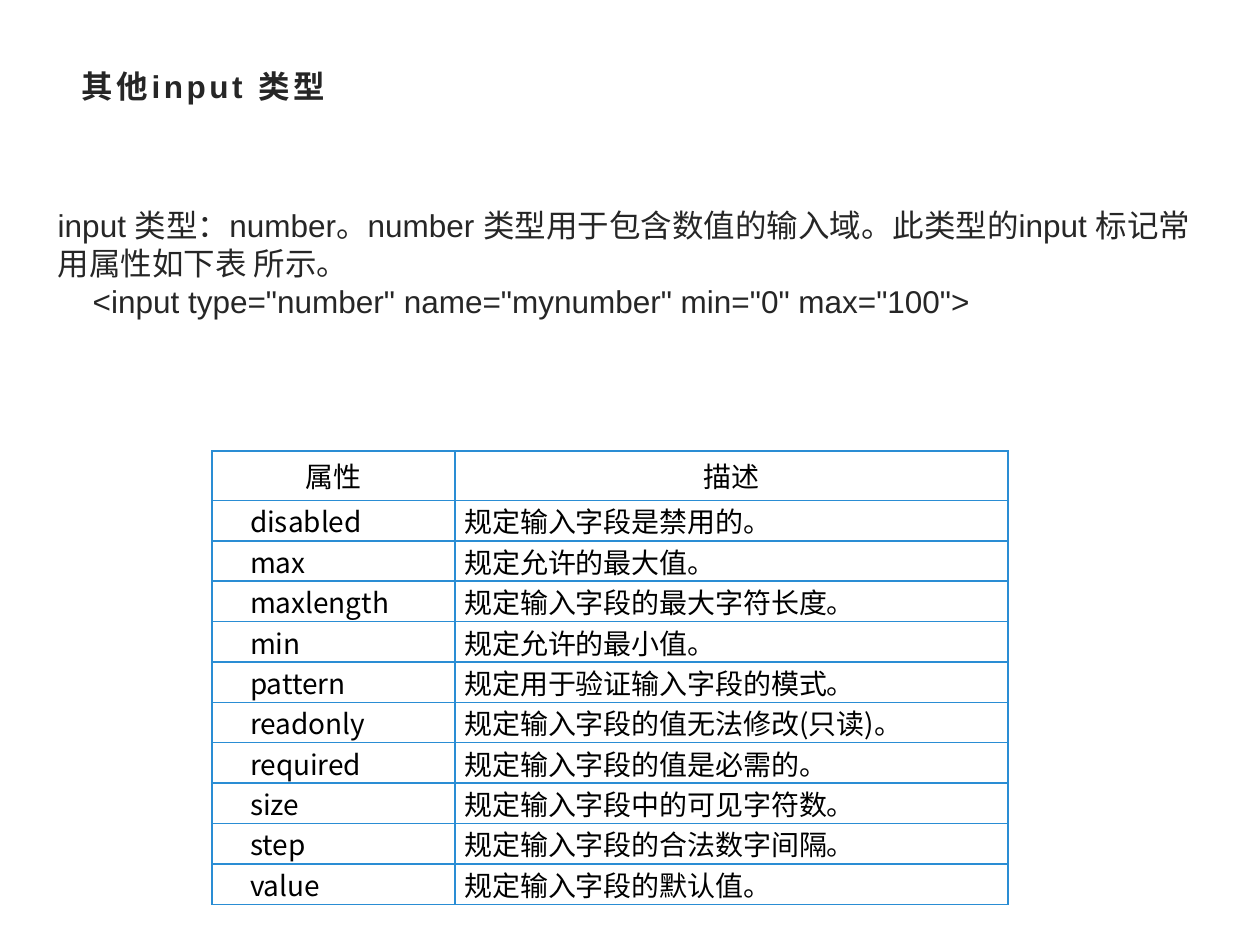
"""Build a slide on the number input type and its attributes."""
from lxml.etree import SubElement
from pptx import Presentation
from pptx.dml.color import RGBColor
from pptx.enum.text import MSO_ANCHOR, PP_ALIGN
from pptx.oxml.ns import qn
from pptx.util import Pt

COLORS = {"text": "262626", "table": "000000", "border": "2A8DD4"}
CHINESE_FONT = "Noto Sans CJK SC"
ATTRIBUTES = [
    ("属性", "描述"),
    ("disabled", "规定输入字段是禁用的。"),
    ("max", "规定允许的最大值。"),
    ("maxlength", "规定输入字段的最大字符长度。"),
    ("min", "规定允许的最小值。"),
    ("pattern", "规定用于验证输入字段的模式。"),
    ("readonly", "规定输入字段的值无法修改(只读)。"),
    ("required", "规定输入字段的值是必需的。"),
    ("size", "规定输入字段中的可见字符数。"),
    ("step", "规定输入字段的合法数字间隔。"),
    ("value", "规定输入字段的默认值。"),
]
HEADER_HEIGHT, ROW_HEIGHT = 28.4, 23.08


def style_text(frame, size, font, color, bold=False):
    for para in frame.paragraphs:
        for span in para.runs:
            span.font.size = Pt(size)
            span.font.name = font
            span.font.bold = bold
            span.font.color.rgb = RGBColor.from_string(COLORS[color])
            properties = span.font._element
            SubElement(properties, qn("a:ea")).set("typeface", CHINESE_FONT)


def add_borders(cell):
    properties = cell._tc.get_or_add_tcPr()
    for side in ("lnL", "lnR", "lnT", "lnB"):
        line = SubElement(properties, qn(f"a:{side}"), w=str(Pt(1)))
        fill = SubElement(line, qn("a:solidFill"))
        SubElement(fill, qn("a:srgbClr"), val=COLORS["border"])


deck = Presentation()
deck.slide_width, deck.slide_height = Pt(720), Pt(540)
page = deck.slides.add_slide(deck.slide_layouts[6])

title = page.shapes.add_textbox(Pt(39.6), Pt(34.6), Pt(640.8), Pt(34.6)).text_frame
title.word_wrap = True
title.vertical_anchor = MSO_ANCHOR.TOP
title.text = "其他input 类型"
style_text(title, 18, "Arial", "text", bold=True)
for span in title.paragraphs[0].runs:
    span.font._element.set("spc", "200")

body = page.shapes.add_textbox(Pt(25.9), Pt(114.3), Pt(668.2), Pt(72.7)).text_frame
body.word_wrap = True
body.text = "input 类型：number。number 类型用于包含数值的输入域。此类型的input 标记常用属性如下表 所示。"
body.add_paragraph().text = '    <input type="number" name="mynumber" min="0" max="100">'
style_text(body, 18, "Arial", "text")

table_height = HEADER_HEIGHT + ROW_HEIGHT * (len(ATTRIBUTES) - 1)
table = page.shapes.add_table(
    len(ATTRIBUTES), 2, Pt(121.1), Pt(257.6), Pt(455), Pt(table_height)
).table
table.first_row = table.horz_banding = False
table.columns[0].width, table.columns[1].width = Pt(139), Pt(316)

for row_index, texts in enumerate(ATTRIBUTES):
    is_header = row_index == 0
    table.rows[row_index].height = Pt(HEADER_HEIGHT if is_header else ROW_HEIGHT)
    for column_index, text in enumerate(texts):
        cell = table.cell(row_index, column_index)
        cell.margin_left = cell.margin_right = Pt(5.3)
        cell.margin_top = cell.margin_bottom = Pt(0)
        cell.vertical_anchor = MSO_ANCHOR.MIDDLE
        add_borders(cell)
        cell.fill.background()
        cell.text_frame.text = text
        para = cell.text_frame.paragraphs[0]
        para.alignment = PP_ALIGN.CENTER if is_header else PP_ALIGN.JUSTIFY
        if column_index == 0 and not is_header:
            para._p.get_or_add_pPr().set("indent", str(Pt(16.5)))
        style_text(cell.text_frame, 16, CHINESE_FONT, "table")

deck.save("out.pptx")
